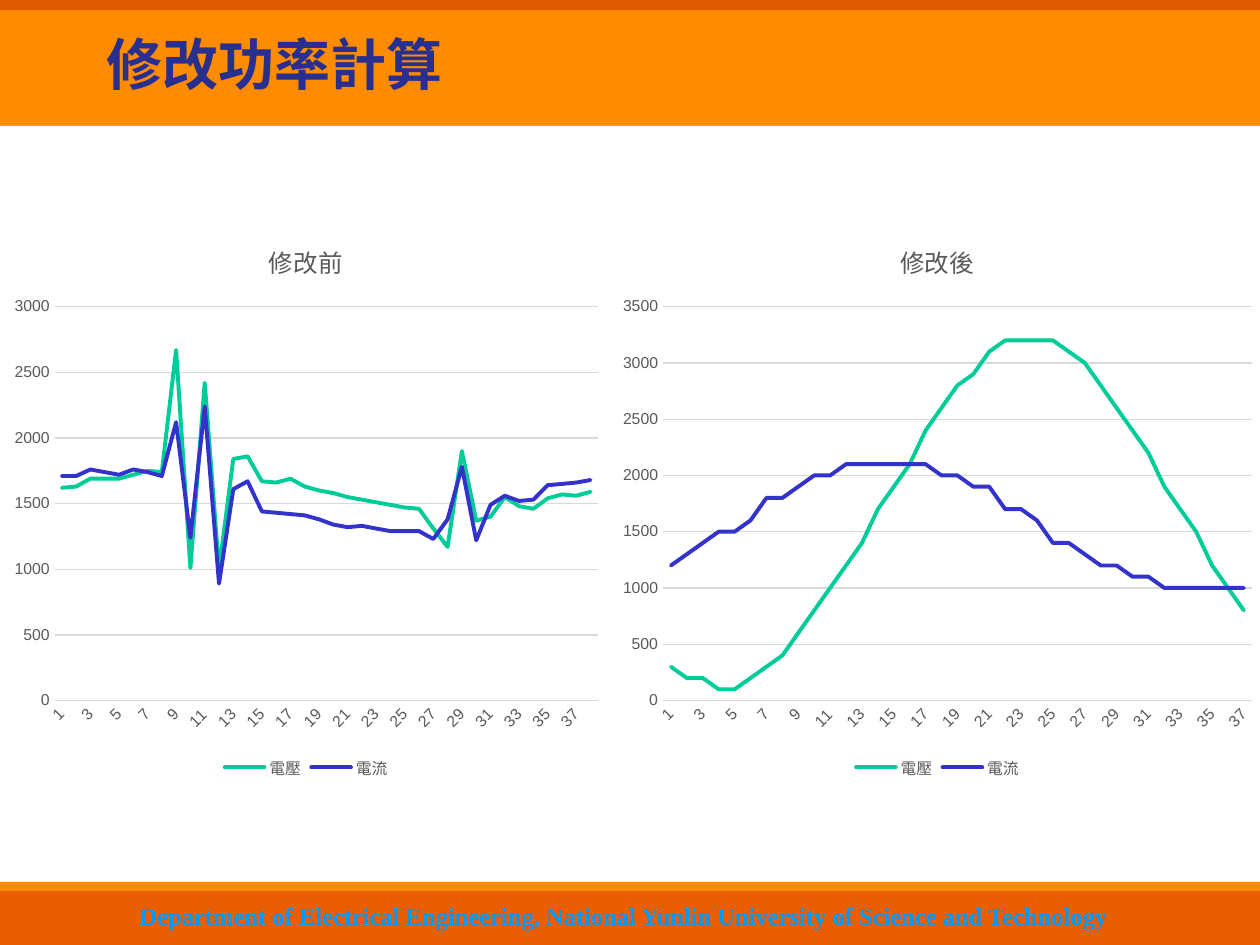
from lxml.etree import SubElement
from pptx import Presentation
from pptx.chart.data import CategoryChartData
from pptx.dml.color import RGBColor
from pptx.enum.chart import XL_CHART_TYPE as ChartType, XL_LEGEND_POSITION as LegendPosition
from pptx.enum.chart import XL_MARKER_STYLE as Marker, XL_TICK_MARK as TickMark
from pptx.enum.shapes import MSO_SHAPE as Shape
from pptx.enum.text import MSO_ANCHOR as Anchor, PP_ALIGN as Align
from pptx.oxml import parse_xml
from pptx.oxml.ns import nsdecls, qn
from pptx.util import Inches, Pt

HEADING = "修改功率計算"
DEPARTMENT = ("Department of Electrical Engineering, "
              "National Yunlin University of Science and Technology")

PANELS = [
    {"title": "修改前", "left": 0.02, "width": 4.82, "top_value": 3000, "readings": {
        "電壓": [1620, 1630, 1690, 1690, 1690, 1720, 1750, 1740, 2670, 1010, 2420, 1000, 1840,
               1860, 1670, 1660, 1690, 1630, 1600, 1580, 1550, 1530, 1510, 1490, 1470, 1460,
               1310, 1170, 1900, 1370, 1400, 1550, 1480, 1460, 1540, 1570, 1560, 1590],
        "電流": [1710, 1710, 1760, 1740, 1720, 1760, 1740, 1710, 2120, 1240, 2240, 890, 1610,
               1670, 1440, 1430, 1420, 1410, 1380, 1340, 1320, 1330, 1310, 1290, 1290, 1290,
               1230, 1380, 1780, 1220, 1490, 1560, 1520, 1530, 1640, 1650, 1660, 1680]}},
    {"title": "修改後", "left": 4.84, "width": 5.2, "top_value": 3500, "readings": {
        "電壓": [300, 200, 200, 100, 100, 200, 300, 400, 600, 800, 1000, 1200, 1400, 1700,
               1900, 2100, 2400, 2600, 2800, 2900, 3100, 3200, 3200, 3200, 3200, 3100,
               3000, 2800, 2600, 2400, 2200, 1900, 1700, 1500, 1200, 1000, 800],
        "電流": [1200, 1300, 1400, 1500, 1500, 1600, 1800, 1800, 1900, 2000, 2000, 2100, 2100,
               2100, 2100, 2100, 2100, 2000, 2000, 1900, 1900, 1700, 1700, 1600, 1400, 1400,
               1300, 1200, 1200, 1100, 1100, 1000, 1000, 1000, 1000, 1000, 1000]}},
]

THEME = {
    "orange": "FF8C00", "rust": "DC5900", "footer": "E85E00", "paper": "FFFFFF",
    "heading": "282F8E", "department": "0099FF", "label": "595959", "grid": "D9D9D9",
    "series": ["00CC99", "3333CC"],
    "serif": "Times New Roman", "sans": "Arial",
    "heading_size": 32, "department_size": 14, "title_size": 14, "label_size": 9,
    "grid_width": 0.75, "series_width": 2.25,
}

BANDS = [
    (Shape.RECTANGLE, 0.02, 7.48, "orange"),
    (Shape.RECTANGLE, 0, 0.08, "rust"),
    (Shape.ROUNDED_RECTANGLE, 1, 6, "paper"),
    (Shape.ROUNDED_RECTANGLE, 7.07, 0.43, "footer"),
]


def color(name):
    return RGBColor.from_string(THEME.get(name, name))


def style_font(font, face, size, shade, bold=False):
    font.name = THEME[face]
    font.size = Pt(THEME[size])
    font.color.rgb = color(shade)
    font.bold = bold


def style_line(line, shade, width):
    line.color.rgb = color(shade)
    line.width = Pt(THEME[width])


def add_band(slide, outline, top, height, shade):
    band = slide.shapes.add_shape(outline, 0, Inches(top), Inches(10), Inches(height))
    if outline == Shape.ROUNDED_RECTANGLE:
        band.adjustments[0] = 0
    band.shadow.inherit = False
    band.fill.solid()
    band.fill.fore_color.rgb = color(shade)
    band.line.fill.background()


def add_words(slide, words, box, role, align):
    frame = slide.shapes.add_textbox(*map(Inches, box)).text_frame
    frame.word_wrap = True
    frame.vertical_anchor = Anchor.MIDDLE
    frame.text = words
    frame.paragraphs[0].alignment = align
    run = frame.paragraphs[0].runs[0]
    style_font(run.font, "serif", role + "_size", role, True)
    return run


def add_text_shadow(run):
    shadow = parse_xml(
        f'<a:effectLst {nsdecls("a")}><a:outerShdw dist="17961" dir="2700000">'
        '<a:srgbClr val="C0C0C0"/></a:outerShdw></a:effectLst>')
    run.font._element.find(qn("a:solidFill")).addnext(shadow)


def add_panel(slide, panel):
    readings = panel["readings"]
    data = CategoryChartData()
    data.categories = [str(n + 1) for n in range(len(readings["電壓"]))]
    for name, values in readings.items():
        data.add_series(name, values)
    box = map(Inches, (panel["left"], 1.73, panel["width"], 4.49))
    chart = slide.shapes.add_chart(ChartType.LINE, *box, data).chart
    style_font(chart.font, "sans", "label_size", "label")

    chart.has_title = True
    chart.chart_title.text_frame.text = panel["title"]
    title = chart.chart_title.text_frame.paragraphs[0].runs[0]
    style_font(title.font, "sans", "title_size", "label")
    chart.chart_title.include_in_layout = False

    chart.has_legend = True
    chart.legend.position = LegendPosition.BOTTOM
    chart.legend.include_in_layout = False
    style_font(chart.legend.font, "sans", "label_size", "label")

    steps, scale = chart.category_axis, chart.value_axis
    for axis in (steps, scale):
        axis.major_tick_mark = axis.minor_tick_mark = TickMark.NONE
        style_font(axis.tick_labels.font, "sans", "label_size", "label")
    style_line(steps.format.line, "grid", "grid_width")
    steps._element.txPr.find(qn("a:bodyPr")).set("rot", "-2700000")
    skip = SubElement(steps._element, qn("c:tickLblSkip"))
    skip.set("val", "2")
    steps._element.find(qn("c:noMultiLvlLbl")).addprevious(skip)
    scale.format.line.fill.background()
    scale.has_major_gridlines = True
    style_line(scale.major_gridlines.format.line, "grid", "grid_width")
    scale.minimum_scale, scale.maximum_scale = 0, panel["top_value"]
    scale.major_unit = 500

    plot = chart.plots[0]
    plot.vary_by_categories = False
    for series, shade in zip(plot.series, THEME["series"]):
        series.smooth = False
        series.marker.style = Marker.NONE
        style_line(series.format.line, shade, "series_width")
        series.format.line._ln.set("cap", "rnd")


def main():
    deck = Presentation()
    deck.slide_width, deck.slide_height = Inches(10), Inches(7.5)
    slide = deck.slides.add_slide(deck.slide_layouts[6])
    for band in BANDS:
        add_band(slide, *band)
    department = add_words(slide, DEPARTMENT, (0.9, 7.1, 8.11, 0.33), "department", Align.CENTER)
    add_text_shadow(department)
    add_words(slide, HEADING, (0.75, 0, 8.19, 1), "heading", Align.LEFT)
    for panel in PANELS:
        add_panel(slide, panel)
    deck.save("out.pptx")


if __name__ == "__main__":
    main()
